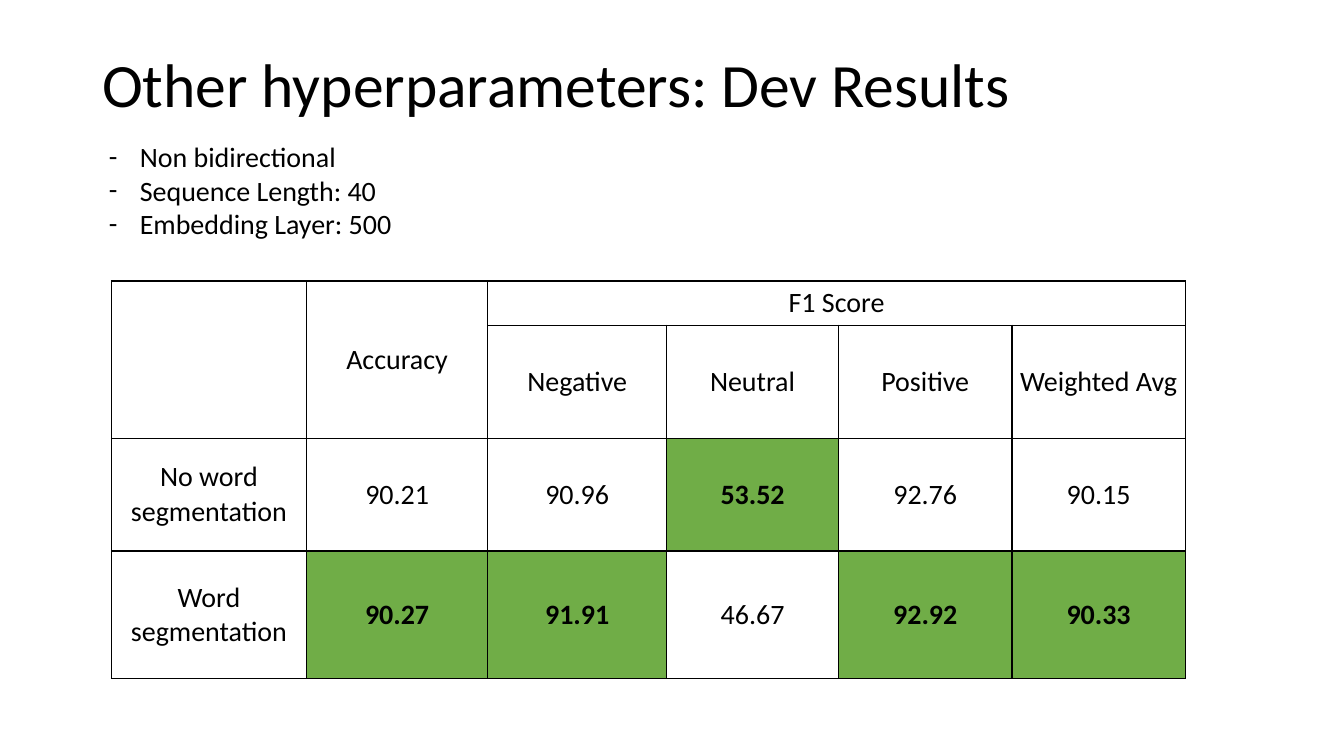
from lxml.etree import SubElement
from pptx import Presentation
from pptx.dml.color import RGBColor
from pptx.enum.text import MSO_ANCHOR as Anchor, PP_ALIGN as Align
from pptx.oxml.ns import qn
from pptx.util import Inches, Pt

COLORS = {"text": "000000", "border": "000000", "best": "70AD47"}
FONT = "Calibri"
SLIDE_WIDTH = 10
SLIDE_HEIGHT = SLIDE_WIDTH * 9 / 16

TITLE = "Other hyperparameters: Dev Results"
SETTINGS = ["Non bidirectional", "Sequence Length: 40", "Embedding Layer: 500"]

HEADER = [
    ["", "Accuracy", "F1 Score", "", "", ""],
    ["", "", "Negative", "Neutral", "Positive", "Weighted Avg"],
]
RESULTS = [
    ["No word segmentation", "90.21", "90.96", "53.52", "92.76", "90.15"],
    ["Word segmentation", "90.27", "91.91", "46.67", "92.92", "90.33"],
]
MERGES = [((0, 0), (1, 0)), ((0, 1), (1, 1)), ((0, 2), (0, 5))]
COL_WIDTHS = [1.45, 1.35, 1.33, 1.28, 1.29, 1.29]
ROW_HEIGHTS = [0.33, 0.84, 0.84, 0.95]


def set_margins(box, side, top):
    box.margin_left = box.margin_right = Inches(side)
    box.margin_top = box.margin_bottom = Inches(top)


def write(p, text, size=15, bold=False, align=Align.LEFT):
    p.alignment = align
    if not text:
        SubElement(p._p, qn("a:endParaRPr"), sz=str(size * 100))
        return
    r = p.add_run()
    r.text = text
    r.font.name = FONT
    r.font.size = Pt(size)
    r.font.bold = bold
    r.font.color.rgb = RGBColor.from_string(COLORS["text"])


def add_text_frame(slide, x, y, w, h, anchor=Anchor.TOP):
    tf = slide.shapes.add_textbox(*map(Inches, (x, y, w, h))).text_frame
    tf.word_wrap = True
    tf.vertical_anchor = anchor
    set_margins(tf, 0.07, 0.04)
    return tf


def add_dash(p):
    """Turn the paragraph into a hanging list item with a dash."""
    pPr = p._p.get_or_add_pPr()
    pPr.set("marL", str(Inches(0.24)))
    pPr.set("indent", str(Inches(-0.23)))
    color = SubElement(pPr, qn("a:buClr"))
    SubElement(color, qn("a:srgbClr"), val=COLORS["text"])
    SubElement(pPr, qn("a:buFont"), typeface=FONT)
    SubElement(pPr, qn("a:buChar"), char="-")


def add_borders(cell):
    tcPr = cell._tc.get_or_add_tcPr()
    for side in ("lnL", "lnR", "lnT", "lnB"):
        ln = SubElement(tcPr, qn(f"a:{side}"), w=str(Pt(0.75)))
        fill = SubElement(ln, qn("a:solidFill"))
        SubElement(fill, qn("a:srgbClr"), val=COLORS["border"])


def format_cell(cell, text, best):
    set_margins(cell, 0.05, 0.04)
    cell.vertical_anchor = Anchor.MIDDLE
    add_borders(cell)
    if best:
        cell.fill.solid()
        cell.fill.fore_color.rgb = RGBColor.from_string(COLORS["best"])
    else:
        cell.fill.background()
    write(cell.text_frame.paragraphs[0], text, bold=best, align=Align.CENTER)


def add_results_table(slide, x, y):
    rows = HEADER + RESULTS
    size = (sum(COL_WIDTHS), sum(ROW_HEIGHTS))
    table = slide.shapes.add_table(
        len(rows), len(COL_WIDTHS), *map(Inches, (x, y, *size))).table
    table.first_row = table.horz_banding = False
    for col, width in zip(table.columns, COL_WIDTHS):
        col.width = Inches(width)
    for row, height in zip(table.rows, ROW_HEIGHTS):
        row.height = Inches(height)

    best_scores = [max(map(float, scores)) for scores in list(zip(*RESULTS))[1:]]
    for i, row in enumerate(rows):
        for j, text in enumerate(row):
            is_score = i >= len(HEADER) and j > 0
            best = is_score and float(text) == best_scores[j - 1]
            format_cell(table.cell(i, j), text, best)
    for first, last in MERGES:
        table.cell(*first).merge(table.cell(*last))


def main():
    prs = Presentation()
    prs.slide_width, prs.slide_height = Inches(SLIDE_WIDTH), Inches(SLIDE_HEIGHT)
    s = prs.slides.add_slide(prs.slide_layouts[6])

    tf = add_text_frame(s, 0.69, 0.3, 8.62, 0.71, anchor=Anchor.MIDDLE)
    tf.paragraphs[0].line_spacing = 0.9
    write(tf.paragraphs[0], TITLE, size=33)

    tf = add_text_frame(s, 0.73, 1, 2.28, 0.83)
    for i, setting in enumerate(SETTINGS):
        p = tf.add_paragraph() if i else tf.paragraphs[0]
        write(p, setting)
        add_dash(p)

    add_results_table(s, 0.83, 2.09)
    prs.save("out.pptx")


if __name__ == "__main__":
    main()
